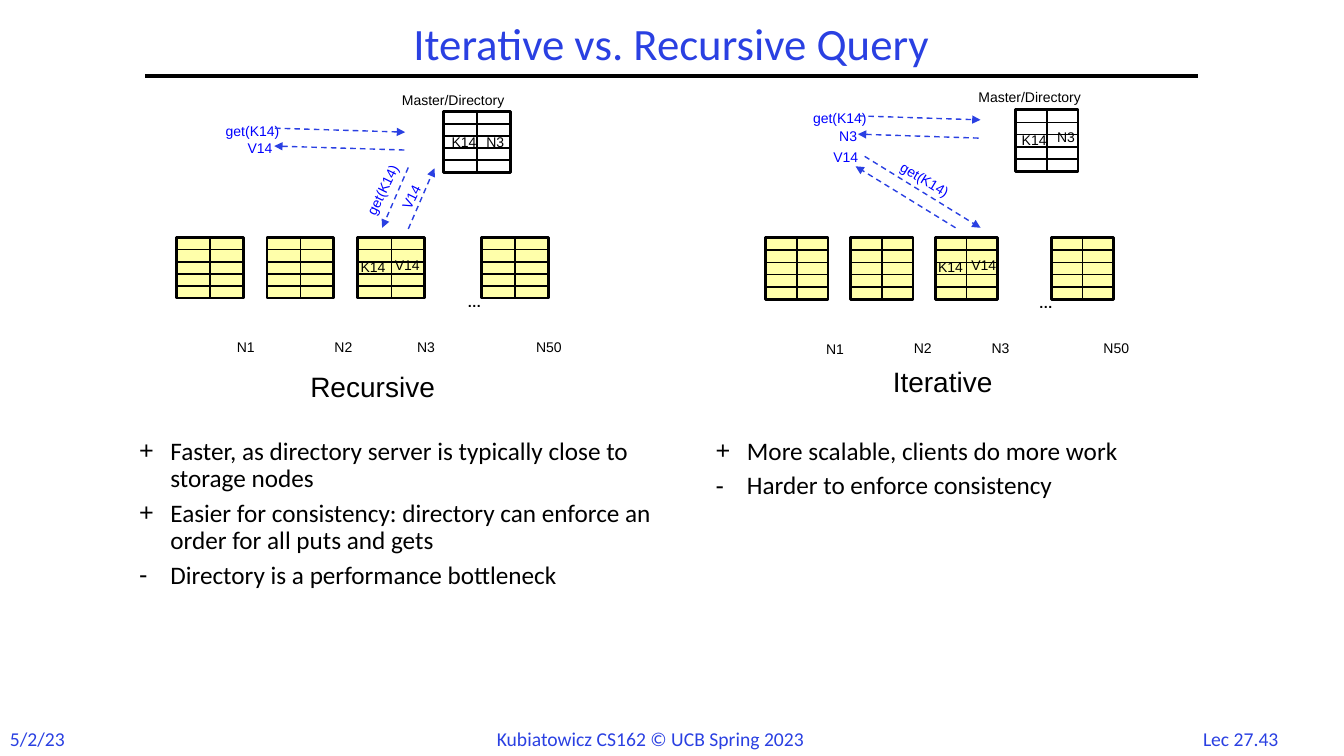
from lxml import etree
from pptx import Presentation
from pptx.dml.color import RGBColor
from pptx.enum.dml import MSO_LINE
from pptx.enum.shapes import MSO_CONNECTOR, MSO_SHAPE
from pptx.enum.text import MSO_ANCHOR, MSO_AUTO_SIZE, PP_ALIGN
from pptx.oxml.ns import qn
from pptx.util import Cm, Pt

STRAIGHT = MSO_CONNECTOR.STRAIGHT
RECT = MSO_SHAPE.RECTANGLE
DASH = MSO_LINE.DASH
MIDDLE, TOP = MSO_ANCHOR.MIDDLE, MSO_ANCHOR.TOP
NO_FIT = MSO_AUTO_SIZE.NONE
LEFT, CENTER = PP_ALIGN.LEFT, PP_ALIGN.CENTER
BLACK, WHITE, YELLOW = "000000", "FFFFFF", "FFFFAA"
BLUE, LABEL_BLUE = "2A40E2", "0000FF"
rgb = RGBColor.from_string


def write(tf, text, size=10, font="Arial", color=BLACK, bold=False,
          align=LEFT, wrap=False, spacing=None, bullet=None):
    tf.word_wrap = wrap
    tf.auto_size = NO_FIT
    first = not tf.text
    p = tf.paragraphs[0] if first else tf.add_paragraph()
    p.alignment = align
    if spacing:
        p.line_spacing = spacing
    if bullet:
        pPr = p._p.get_or_add_pPr()
        pPr.set("marL", str(Cm(0.79)))
        pPr.set("indent", str(-Cm(0.79)))
        etree.SubElement(pPr, qn("a:buChar")).set("char", bullet)
        p.space_before = Pt(0 if first else 5.4)
    r = p.add_run()
    r.text = text
    r.font.size, r.font.name, r.font.bold = Pt(size), font, bold
    r.font.color.rgb = rgb(color)


def add_line(shapes, x1, y1, x2, y2, color=BLACK, width=1, arrow=False):
    c = shapes.add_connector(STRAIGHT, Cm(x1), Cm(y1), Cm(x2), Cm(y2))
    c.line.color.rgb = rgb(color)
    c.line.width = Pt(width)
    if arrow:
        c.line.dash_style = DASH
        etree.SubElement(c.line._get_or_add_ln(), qn("a:tailEnd")).set("type", "triangle")
    etree.SubElement(c._element.spPr, qn("a:effectLst"))


prs = Presentation()
prs.slide_width, prs.slide_height = Cm(33.87), Cm(19.05)
s = prs.slides.add_slide(prs.slide_layouts[3])
title, pros_recursive, pros_iterative = s.placeholders

# Title and rule
title.left, title.top, title.width, title.height = Cm(3.66), Cm(0.43), Cm(26.52), Cm(1.47)
title.text_frame.vertical_anchor = MIDDLE
write(title.text_frame, "Iterative vs. Recursive Query", size=32, font="Calibri",
      color=BLUE, align=CENTER, wrap=True, spacing=0.9)
add_line(s.shapes, 3.66, 1.91, 30.2, 1.91, width=3)

# Query diagrams: node tables, labels (text, x, y, rotation) and arrows
diagrams = [
    dict(
        cell_w=1.68, cell_h=1.52, master=(11.18, 2.82),
        nodes=[4.45, 6.73, 9.02, 12.14],
        black=[("N1", 5.72, 8.41, 0), ("N2", 8.18, 8.41, 0), ("N3", 10.26, 8.41, 0),
               ("N50", 13.26, 8.41, 0), ("…", 11.53, 7.26, 0),
               ("K14", 8.84, 6.38, 0), ("V14", 9.7, 6.35, 0),
               ("K14", 11.13, 3.23, 0), ("N3", 12.01, 3.23, 0),
               ("Master/Directory", 9.88, 2.18, 0)],
        blue=[("get(K14)", 5.44, 2.95, 0), ("V14", 5.99, 3.4, 0),
              ("get(K14)", 8.71, 4.42, 296.4), ("V14", 9.8, 4.62, 296.4)],
        arrows=[(6.93, 3.23, 10.21, 3.33), (10.19, 3.78, 6.91, 3.68),
                (10.29, 4.22, 9.63, 5.74), (10.29, 5.77, 10.95, 4.24)],
    ),
    dict(
        cell_w=1.57, cell_h=1.55, master=(25.6, 2.77),
        nodes=[19.3, 21.44, 23.57, 26.49],
        black=[("N1", 20.57, 8.46, 0), ("N2", 22.78, 8.43, 0), ("N3", 24.74, 8.43, 0),
               ("N50", 27.56, 8.43, 0), ("…", 25.93, 7.29, 0),
               ("K14", 23.39, 6.38, 0), ("V14", 24.23, 6.35, 0),
               ("K14", 25.5, 3.18, 0), ("N3", 26.39, 3.12, 0),
               ("Master/Directory", 24.41, 2.11, 0)],
        blue=[("get(K14)", 20.24, 2.64, 0), ("N3", 20.9, 3.1, 0),
              ("V14", 20.75, 3.61, 0), ("get(K14)", 22.38, 4.19, 31.4)],
        arrows=[(21.64, 2.92, 24.71, 3.02), (24.66, 3.48, 21.62, 3.38),
                (21.79, 3.94, 24.71, 5.74), (24.08, 5.74, 21.56, 4.19)],
    ),
]
label_widths = {"…": 0.86, "N50": 1.17, "K14": 1.14, "V14": 1.14,
                "get(K14)": 1.88, "Master/Directory": 3.12}
NODE_TOP, ROWS = 5.99, 5

for d in diagrams:
    shapes = s.shapes.add_group_shape().shapes
    w, h = d["cell_w"], d["cell_h"]
    stores = [(x, NODE_TOP, YELLOW) for x in d["nodes"]] + [(*d["master"], WHITE)]
    for x, y, fill in stores:
        sp = shapes.add_shape(RECT, Cm(x), Cm(y), Cm(w), Cm(h))
        sp.shadow.inherit = False
        sp.fill.solid()
        sp.fill.fore_color.rgb = rgb(fill)
        sp.line.color.rgb = rgb(BLACK)
        sp.line.width = Pt(2)
        add_line(shapes, x + w / 2, y, x + w / 2, y + h)
        for row in range(ROWS):
            row_y = y + row * h / ROWS
            add_line(shapes, x, row_y, x + w, row_y)
    for color, labels in ((BLACK, d["black"]), (LABEL_BLUE, d["blue"])):
        for text, x, y, angle in labels:
            sp = shapes.add_textbox(Cm(x), Cm(y), Cm(label_widths.get(text, 0.97)), Cm(0.69))
            sp.rotation = angle
            write(sp.text_frame, text, color=color, bold=text == "…")
    for ends in d["arrows"]:
        add_line(shapes, *ends, color=BLUE, arrow=True)

# Captions and footer
caption = dict(size=20)
footer = dict(size=14, font="Calibri", color=BLUE)
for text, x, y, w, h, style in [
    ("Recursive", 7.57, 9.19, 3.68, 1.12, caption),
    ("Iterative", 22.25, 9.07, 3.05, 1.12, caption),
    ("5/2/23", 0, 18.19, 1.9, 0.86, footer),
    ("Kubiatowicz CS162 © UCB Spring 2023", 12.27, 18.19, 9.35, 0.86, footer),
    ("Lec 27.43", 29.9, 18.19, 2.74, 0.86, dict(footer, align=CENTER)),
]:
    sp = s.shapes.add_textbox(Cm(x), Cm(y), Cm(w), Cm(h))
    write(sp.text_frame, text, **style)

# Pros and cons
for body, x, w, h, points in [
    (pros_recursive, 3.25, 13.69, 5.99, [
        ("+", "Faster, as directory server is typically close to storage nodes"),
        ("+", "Easier for consistency: directory can enforce an order for all puts and gets"),
        ("-", "Directory is a performance bottleneck")]),
    (pros_iterative, 17.78, 13.34, 6.43, [
        ("+", "More scalable, clients do more work"),
        ("-", "Harder to enforce consistency")]),
]:
    body.left, body.top, body.width, body.height = Cm(x), Cm(10.92), Cm(w), Cm(h)
    body.text_frame.vertical_anchor = TOP
    for bullet, text in points:
        write(body.text_frame, text, size=18, font="Calibri", wrap=True,
              spacing=0.9, bullet=bullet)

prs.save("out.pptx")
